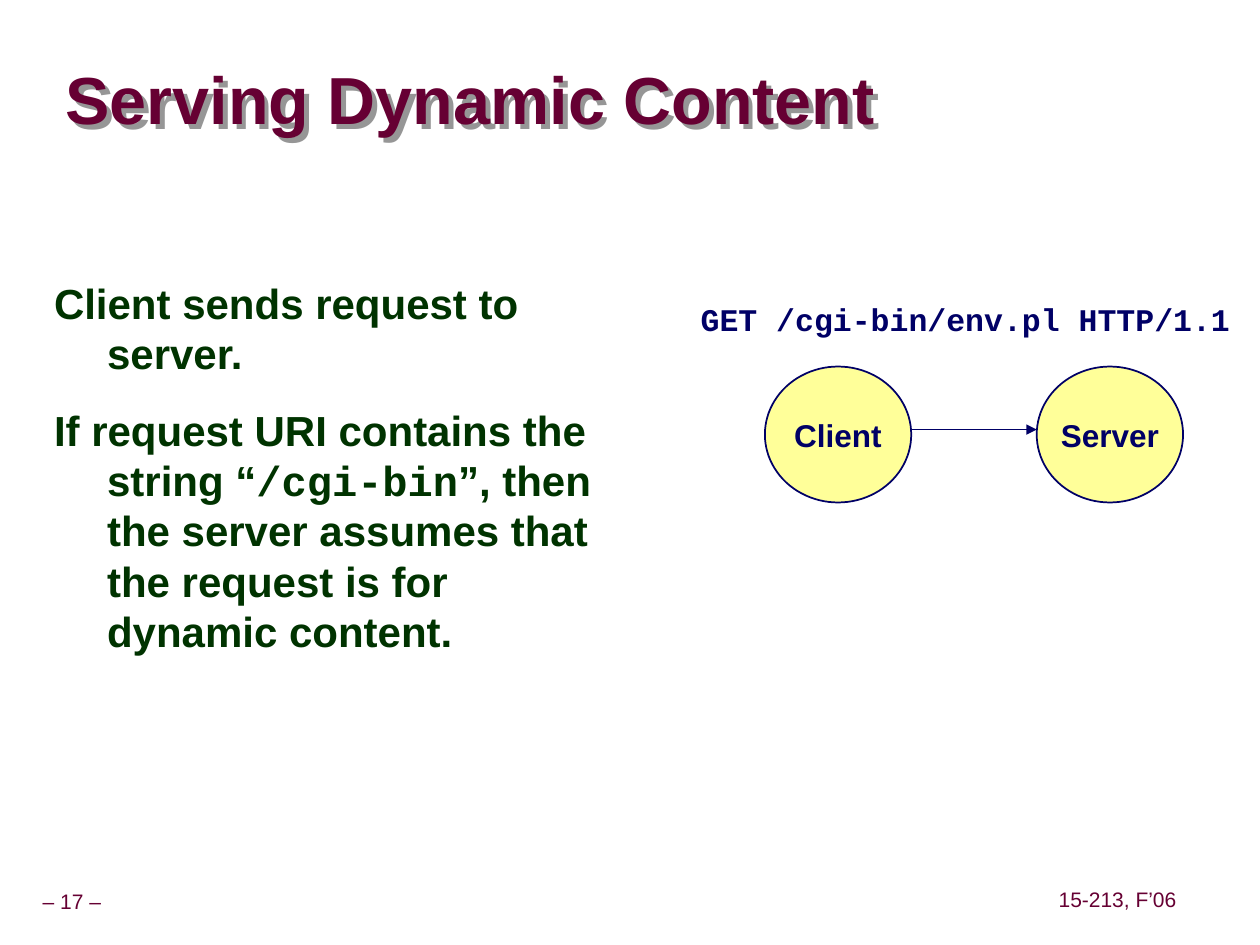
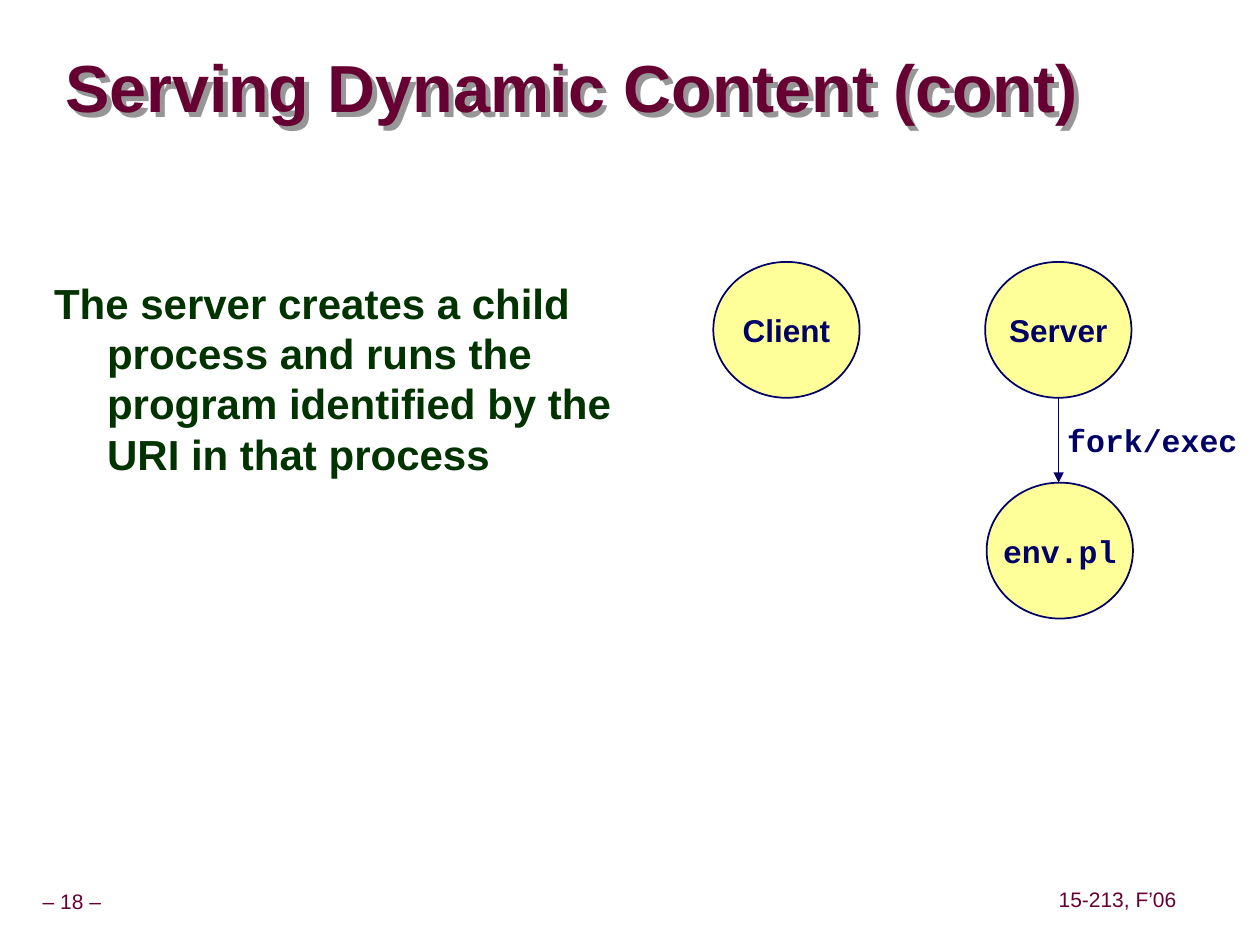
from dataclasses import dataclass

from lxml.etree import SubElement
from pptx import Presentation
from pptx.dml.color import RGBColor
from pptx.enum.shapes import MSO_CONNECTOR, MSO_SHAPE
from pptx.enum.text import MSO_ANCHOR, PP_ALIGN
from pptx.oxml.ns import qn
from pptx.slide import Slide
from pptx.util import Cm, Pt

MAROON = RGBColor(0x66, 0x00, 0x33)
GREEN = RGBColor(0x00, 0x33, 0x00)
NAVY = RGBColor(0x00, 0x00, 0x66)
YELLOW = RGBColor(0xFF, 0xFF, 0x99)
SHADOW = RGBColor(0x96, 0x96, 0x96)

SANS = "Arial"
MONO = "Courier New"
TITLE = {"size": Pt(38), "name": SANS, "bold": True}
BODY = {"size": Pt(24), "name": SANS, "bold": True}
LABEL = {"size": Pt(18), "name": SANS, "bold": True}
CODE = LABEL | {"name": MONO}
FOOTER = {"size": Pt(12), "name": SANS}

CENTRED = {
    "word_wrap": False,
    "vertical_anchor": MSO_ANCHOR.MIDDLE,
}
FOOTER_FRAME = CENTRED | {
    f"margin_{side}": Cm(0.13) for side in ("left", "right", "top", "bottom")
}

NODE_WIDTH = 2.95
NODE_HEIGHT = 2.74
LABEL_HEIGHT = 1.02
INDENT = Cm(1.07)


@dataclass(frozen=True)
class Node:
    text: str
    left: float
    top: float
    style: dict


@dataclass(frozen=True)
class Arrow:
    start: tuple[float, float]
    end: tuple[float, float]


@dataclass(frozen=True)
class Label:
    text: str
    left: float
    top: float
    width: float


@dataclass(frozen=True)
class Page:
    number: int
    title: str
    title_top: float
    title_width: float
    body_height: float
    body: list[list[tuple[str, str]]]
    nodes: list[Node]
    arrow: Arrow
    label: Label


PAGES = [
    Page(
        17, "Serving Dynamic Content", 1.17, 16.94, 12.37,
        [
            [("Client sends request to server.", SANS)],
            [
                ("If request URI contains the string “", SANS),
                ("/cgi-bin", MONO),
                ("”, then the server assumes that the request is for dynamic content.", SANS),
            ],
        ],
        [Node("Client", 15.42, 7.39, LABEL), Node("Server", 20.9, 7.39, LABEL)],
        Arrow((18.37, 8.66), (20.9, 8.66)),
        Label("GET /cgi-bin/env.pl HTTP/1.1", 13.87, 5.92, 11.18),
    ),
    Page(
        18, "Serving Dynamic Content (cont)", 0.94, 21.59, 5.26,
        [[("The server creates a child process and runs the program "
           "identified by the URI in that process", SANS)]],
        [
            Node("Client", 14.38, 5.28, LABEL),
            Node("Server", 19.86, 5.28, LABEL),
            Node("env.pl", 19.89, 9.73, CODE),
        ],
        Arrow((21.34, 8.02), (21.34, 9.73)),
        Label("fork/exec", 21.26, 8.36, 3.94),
    ),
]


def apply(target, values: dict) -> None:
    for name, value in values.items():
        setattr(target, name, value)


def write(paragraph, text: str, style: dict, colour: RGBColor) -> None:
    span = paragraph.add_run()
    span.text = text
    apply(span.font, style)
    span.font.color.rgb = colour


def write_line(shape, text: str, style: dict, colour: RGBColor,
               frame: dict, alignment=PP_ALIGN.CENTER) -> None:
    apply(shape.text_frame, frame)
    paragraph = shape.text_frame.paragraphs[0]
    paragraph.alignment = alignment
    write(paragraph, text, style, colour)


def add_box(slide: Slide, left: float, top: float, width: float, height: float):
    return slide.shapes.add_textbox(Cm(left), Cm(top), Cm(width), Cm(height))


def add_title(slide: Slide, page: Page) -> None:
    box = add_box(slide, 1.07, page.title_top, page.title_width, 1.6)
    write_line(box, page.title, TITLE, MAROON, CENTRED | {"word_wrap": True}, PP_ALIGN.LEFT)
    effects = SubElement(box.element.spPr, qn("a:effectLst"))
    shadow = SubElement(effects, qn("a:outerShdw"), dist=str(Cm(0.14)), dir="2700000")
    SubElement(shadow, qn("a:srgbClr"), val=str(SHADOW))


def add_body(slide: Slide, page: Page) -> None:
    frame = add_box(slide, 0.84, 5.46, 11.91, page.body_height).text_frame
    frame.word_wrap = True
    for index, parts in enumerate(page.body):
        para = frame.add_paragraph() if index else frame.paragraphs[0]
        para.space_before = Pt(15 if index else 0)
        properties = para._p.get_or_add_pPr()
        properties.set("marL", str(INDENT))
        properties.set("indent", str(-INDENT))
        for text, font in parts:
            write(para, text, BODY | {"name": font}, GREEN)


def add_node(slide: Slide, node: Node) -> None:
    oval = slide.shapes.add_shape(
        MSO_SHAPE.OVAL, Cm(node.left), Cm(node.top), Cm(NODE_WIDTH), Cm(NODE_HEIGHT))
    oval.shadow.inherit = False
    oval.fill.solid()
    oval.fill.fore_color.rgb = YELLOW
    oval.line.color.rgb = NAVY
    oval.line.width = Pt(1)
    write_line(oval, node.text, node.style, NAVY, CENTRED)


def add_arrow(slide: Slide, arrow: Arrow) -> None:
    ends = [Cm(value) for value in (*arrow.start, *arrow.end)]
    line = slide.shapes.add_connector(MSO_CONNECTOR.STRAIGHT, *ends)
    line.line.color.rgb = NAVY
    line.line.width = Pt(1)
    SubElement(line.line._get_or_add_ln(), qn("a:tailEnd"), type="triangle")
    SubElement(line.element.spPr, qn("a:effectLst"))


def add_footers(slide: Slide, number: int) -> None:
    for text, left, top, width in (
        (f"– {number} –", 0, 17.81, 2.9),
        ("15-213, F’06", 21.21, 17.78, 2.64),
    ):
        box = add_box(slide, left, top, width, 0.71)
        write_line(box, text, FOOTER, MAROON, FOOTER_FRAME)


def add_page(deck, page: Page) -> None:
    slide = deck.slides.add_slide(deck.slide_layouts[6])
    add_footers(slide, page.number)
    add_title(slide, page)
    add_body(slide, page)
    for node in page.nodes:
        add_node(slide, node)
    add_arrow(slide, page.arrow)
    label = page.label
    box = add_box(slide, label.left, label.top, label.width, LABEL_HEIGHT)
    write_line(box, label.text, CODE, NAVY, CENTRED)


def main() -> None:
    deck = Presentation()
    deck.slide_width = Cm(25.4)
    deck.slide_height = Cm(19.05)
    for page in PAGES:
        add_page(deck, page)
    deck.save("out.pptx")


if __name__ == "__main__":
    main()
